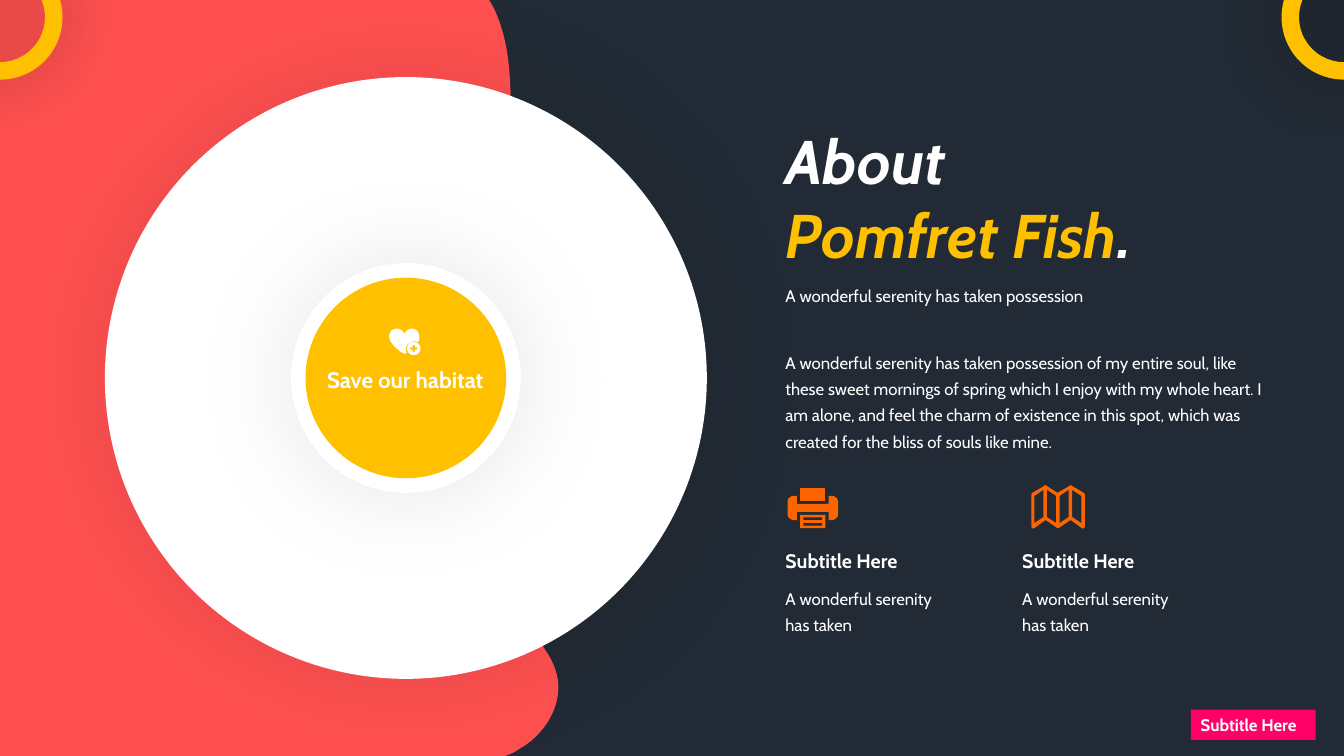
from math import cos, sin, pi

from lxml.etree import SubElement
from pptx import Presentation
from pptx.dml.color import RGBColor
from pptx.enum.shapes import MSO_SHAPE
from pptx.enum.text import MSO_ANCHOR, MSO_AUTO_SIZE, PP_ALIGN
from pptx.oxml.ns import qn
from pptx.util import Inches, Pt

COLORS = {"navy": "222A35", "coral": "FF5050", "white": "FFFFFF",
          "yellow": "FFC000", "orange": "FA6500", "pink": "FF0066"}
RGB = {name: RGBColor.from_string(value) for name, value in COLORS.items()}

prs = Presentation()
prs.slide_width, prs.slide_height = Inches(13.33), Inches(7.5)
W, H = prs.slide_width, prs.slide_height
COL, ROW = W / 100, H / 100
CELL = H / 750
s = prs.slides.add_slide(prs.slide_layouts[6])
s.background.fill.solid()
s.background.fill.fore_color.rgb = RGB["navy"]


def outline(shapes, color, left, top, dx, dy, contours):
    """Draw closed contours on a dx by dy grid; six-value steps are cubic curves."""
    fb = None
    for start, *steps in contours:
        pts, (x, y) = [], start
        for step in steps:
            if len(step) == 2:
                pts.append(step)
            else:
                x1, y1, x2, y2, x3, y3 = step
                for t in [i / 12 for i in range(1, 13)]:
                    u = 1 - t
                    a, b, c, d = u**3, 3 * u * u * t, 3 * u * t * t, t**3
                    pts.append((a * x + b * x1 + c * x2 + d * x3,
                                a * y + b * y1 + c * y2 + d * y3))
            x, y = pts[-1]
        (x0, y0), *rest = [(left + px * dx, top + py * dy) for px, py in [start] + pts]
        if fb is None:
            fb = shapes.build_freeform(x0, y0, scale=1.0)
        else:
            fb.move_to(x0, y0)
        fb.add_line_segments(rest, close=True)
    sp = fb.convert_to_shape()
    sp.shadow.inherit = False
    sp.fill.solid()
    sp.fill.fore_color.rgb = RGB[color]
    sp.line.fill.background()


def write(sp, paragraphs, size, spacing=None, align=PP_ALIGN.LEFT, wrap=True, **style):
    """Fill a shape with paragraphs, each a list of (text, color) runs."""
    tf = sp.text_frame
    tf.word_wrap = wrap
    tf.auto_size = MSO_AUTO_SIZE.SHAPE_TO_FIT_TEXT
    tf.vertical_anchor = MSO_ANCHOR.TOP
    fmt = {"name": "Cabin", "size": Pt(size), **style}
    for i, runs in enumerate(paragraphs):
        p = tf.add_paragraph() if i else tf.paragraphs[0]
        p.alignment = align
        p.line_spacing = spacing
        for text, color in runs:
            r = p.add_run()
            r.text = text
            r.font.color.rgb = RGB[color]
            for key, value in fmt.items():
                setattr(r.font, key, value)


# Coral wave along the left side
outline(s.shapes, "coral", 0, 0, H / 7.5, H / 7.5, [[
    (4.85, 0), (0, 0), (0, 7.5), (5.01, 7.5), (5.06, 7.48),
    (5.09, 7.47, 5.12, 7.45, 5.15, 7.43), (5.41, 7.29, 5.6, 6.97, 5.52, 6.68),
    (5.44, 6.38, 5.13, 6.19, 5.11, 5.89), (5.09, 5.57, 5.37, 5.34, 5.59, 5.12),
    (5.78, 4.92, 5.93, 4.66, 5.97, 4.37), (6.02, 4.08, 5.96, 3.78, 5.8, 3.55),
    (5.59, 3.27, 5.24, 3.13, 5.08, 2.83), (4.89, 2.49, 4.98, 2.07, 5.03, 1.67),
    (5.06, 1.4, 5.08, 1.11, 5.06, 0.84), (5.05, 0.56, 5, 0.26, 4.87, 0.03)]])

# Discs and corner rings: kind, centre, diameter, color, shadow (opacity %, blur)
discs = [
    (MSO_SHAPE.OVAL, 30.2 * COL, 50 * ROW, 79.6 * ROW, "white", (9, 77)),
    (MSO_SHAPE.OVAL, 30.2 * COL, 50 * ROW, 30.4 * ROW, "white", (9, 77)),
    (MSO_SHAPE.OVAL, 30.2 * COL, 50 * ROW, 26.53 * ROW, "yellow", None),
    (MSO_SHAPE.DONUT, 0, 2.27 * ROW, 16.53 * ROW, "yellow", (33, 49)),
    (MSO_SHAPE.DONUT, W, 2.27 * ROW, 16.53 * ROW, "yellow", (33, 49)),
]
for kind, cx, cy, size, color, shadow in discs:
    sp = s.shapes.add_shape(kind, int(cx - size / 2), int(cy - size / 2), int(size), int(size))
    sp.shadow.inherit = False
    sp.fill.solid()
    sp.fill.fore_color.rgb = RGB[color]
    sp.line.fill.background()
    if kind == MSO_SHAPE.DONUT:
        sp.adjustments[0] = 0.14
    if shadow:
        opacity, blur = shadow
        effects = sp._element.spPr.find(qn("a:effectLst"))
        shade = SubElement(effects, qn("a:outerShdw"), blurRad=str(Pt(blur)), dist="0",
                           dir="0", algn="ctr", rotWithShape="0")
        black = SubElement(shade, qn("a:srgbClr"), val="000000")
        SubElement(black, qn("a:alpha"), val=str(opacity * 1000))

# Texts: left, top, width, height on the 100 by 100 grid
LEFT, RIGHT = 57.7, 75.32
BODY = ("A wonderful serenity has taken possession of my entire soul, like these sweet "
        "mornings of spring which I enjoy with my whole heart. I am alone, and feel the "
        "charm of existence in this spot, which was created for the bliss of souls like mine.")
texts = [
    (LEFT, 15.6, 39.16, 21.07, [[("About", "white")], [("Pomfret Fish", "yellow"), (".", "white")]],
     {"size": 44, "bold": True, "italic": True}),
    (LEFT, 35.87, 33.16, 4.93, [[("A wonderful serenity has taken possession", "white")]],
     {"size": 12, "spacing": 1.5}),
    (LEFT, 45.2, 38.18, 15.33, [[(BODY, "white")]], {"size": 12, "spacing": 1.3}),
    (23.26, 47.73, 13.8, 8.53, [[("Save our habitat", "white")]],
     {"size": 16, "bold": True, "align": PP_ALIGN.CENTER}),
]
for x in (LEFT, RIGHT):
    texts += [
        (x, 72, 12, 4.53, [[("Subtitle Here", "white")]], {"size": 14, "bold": True}),
        (x, 76.4, 13.73, 8, [[("A wonderful serenity has taken", "white")]],
         {"size": 12, "spacing": 1.3}),
    ]
for x, y, w, h, paragraphs, fmt in texts:
    sp = s.shapes.add_textbox(int(x * COL), int(y * ROW), int(w * COL), int(h * ROW))
    write(sp, paragraphs, **fmt)

tag = s.shapes.add_shape(MSO_SHAPE.RECTANGLE, int(88.6 * COL), int(93.87 * ROW),
                         int(9.3 * COL), int(4 * ROW))
tag.shadow.inherit = False
tag.fill.solid()
tag.fill.fore_color.rgb = RGB["pink"]
tag.line.fill.background()
write(tag, [[("Subtitle Here", "white")]], 12, wrap=False, bold=True)

# Printer icon on 16 columns by 15 rows
tray = [[(4, 10), (12, 10), (12, 15), (4, 15)]]
tray += [[(5, y), (11, y), (11, y + 1), (5, y + 1)] for y in (11, 13)]
sheet = [[(4, 0), (12, 0), (12, 5), (4, 5)]]
body = [[(2, 3), (3, 3), (3, 6), (13, 6), (13, 3), (14, 3), (15, 3, 16, 4, 16, 5),
         (16, 10), (16, 11, 15, 12, 14, 12), (13, 12), (13, 9), (3, 9), (3, 12), (2, 12),
         (1, 12, 0, 11, 0, 10), (0, 5), (0, 4, 1, 3, 2, 3)]]
printer = s.shapes.add_group_shape().shapes
for part in (tray, sheet, body):
    outline(printer, "orange", 58.6 * COL, 64.53 * ROW, 3.13 * CELL, 2.67 * CELL, part)

# Folded map icon with four panels
folded = [[(52, 8), (40, 1), (39, 0, 38, 0, 38, 1), (26, 8), (15, 1), (14, 0, 13, 0, 13, 1),
           (1, 8), (0, 9, 0, 9, 0, 10), (0, 41), (0, 43, 2, 44, 3, 43), (14, 35), (26, 43),
           (27, 43), (39, 35), (50, 43), (51, 44, 53, 43, 53, 41), (53, 10), (53, 9, 53, 9, 52, 8)]]
for i in range(4):
    x, (a, b) = 3 + 12.5 * i, ((11, 5), (5, 11))[i % 2]
    folded.append([(x, a), (x, a + 27), (x + 9, b + 27), (x + 9, b)])
outline(s.shapes, "orange", 76.74 * COL, 64.13 * ROW, CELL, CELL, folded)

# Heart with a plus badge
badge = [[(24.4 + 6.6 * cos(pi * i / 24), 19.7 + 6.6 * sin(pi * i / 24)) for i in range(48)],
         [(23.3, 16.3), (23.3, 18.6), (21, 18.6), (21, 20.8), (23.3, 20.8), (23.3, 23.1),
          (25.5, 23.1), (25.5, 20.8), (27.8, 20.8), (27.8, 18.6), (25.5, 18.6), (25.5, 16.3)]]
heart = [[(15, 5), (17, 1.5, 20, 0, 22.5, 0), (27, 0, 30, 4, 30, 8.5),
          (30, 10.5, 29.5, 12, 28.7, 13.5), (22.5, 10, 13.5, 17, 17.5, 24), (15, 25),
          (9, 22, 0, 14, 0, 8), (0, 3, 3.5, 0, 7.5, 0), (11, 0, 13.5, 2, 15, 5)]]
care = s.shapes.add_group_shape().shapes
for part in (badge, heart):
    outline(care, "white", 28.96 * COL, 43.47 * ROW, CELL, CELL, part)

prs.save("out.pptx")
